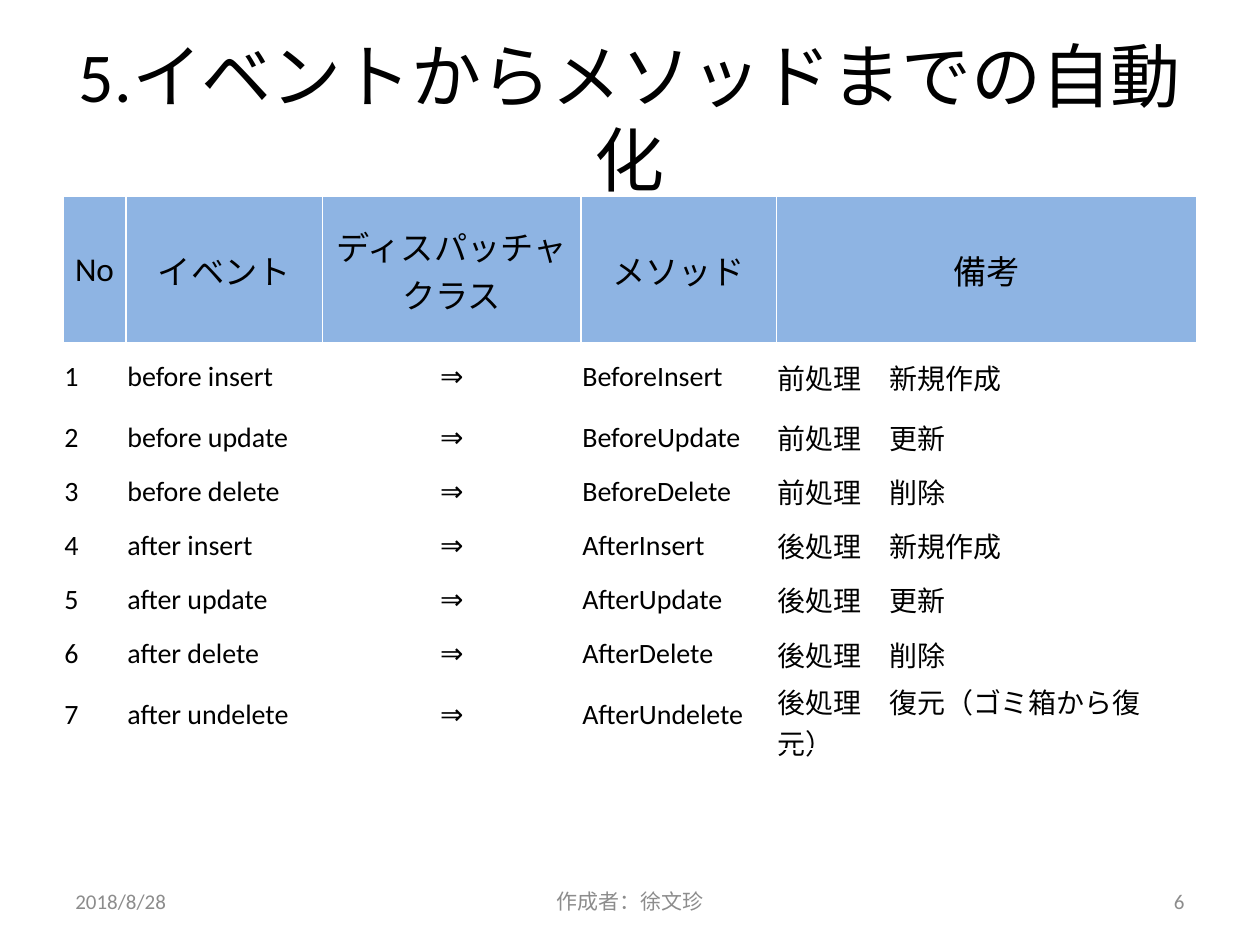
from lxml import etree
from pptx import Presentation
from pptx.dml.color import RGBColor
from pptx.enum.text import MSO_ANCHOR, PP_ALIGN
from pptx.oxml.ns import qn
from pptx.util import Cm, Pt

LEFT, CENTER, RIGHT = PP_ALIGN.LEFT, PP_ALIGN.CENTER, PP_ALIGN.RIGHT
MIDDLE = MSO_ANCHOR.MIDDLE
COLORS = {"text": "000000", "muted": "8C8C8C", "header": "8EB4E3", "white": "FFFFFF"}
COLUMN_WIDTHS = [1.27, 3.96, 5.21, 3.94, 8.48]
ROW_HEIGHTS = [2.95, 1.35] + [1.09] * 6
COLUMN_ALIGNS = [LEFT, LEFT, CENTER, LEFT, LEFT]
COLUMN_FONTS = ["Calibri"] * 4 + ["Arial"]
HEADERS = ["No", "イベント", "ディスパッチャ\vクラス", "メソッド", "備考"]
EVENTS = [
    ("before insert", "前処理 新規作成"),
    ("before update", "前処理 更新"),
    ("before delete", "前処理 削除"),
    ("after insert", "後処理 新規作成"),
    ("after update", "後処理 更新"),
    ("after delete", "後処理 削除"),
    ("after undelete", "後処理 復元(ゴミ箱から復元)"),
]
FULL_WIDTH = str.maketrans({" ": "\u3000", "(": "\uff08", ")": "\uff09"})


def write_text(frame, text, size, color="text", align=LEFT, font="Calibri"):
    """Put one formatted paragraph into a text frame."""
    para = frame.paragraphs[0]
    para.text = text
    para.alignment = align
    for span in para.runs:
        span.font.size = Pt(size)
        span.font.name = font
        span.font.color.rgb = RGBColor.from_string(COLORS[color])


def add_text(page, box, text, size, color="text", align=LEFT):
    """Add a wrapped, vertically centred text box."""
    frame = page.shapes.add_textbox(*[Cm(length) for length in box]).text_frame
    frame.word_wrap = True
    frame.vertical_anchor = MIDDLE
    write_text(frame, text, size, color, align)


def add_borders(cell):
    """Give a cell thin white borders on every side."""
    properties = cell._tc.get_or_add_tcPr()
    for index, side in enumerate(("a:lnL", "a:lnR", "a:lnT", "a:lnB")):
        line = etree.Element(qn(side), w=str(Pt(1)))
        fill = etree.SubElement(line, qn("a:solidFill"))
        etree.SubElement(fill, qn("a:srgbClr"), val=COLORS["white"])
        properties.insert(index, line)


def fill_cell(cell, text, size, fill, align, font):
    """Style one table cell and write its text."""
    cell.margin_left = cell.margin_right = cell.margin_top = Cm(0.03)
    cell.margin_bottom = Cm(0)
    cell.vertical_anchor = MIDDLE
    cell.fill.solid()
    cell.fill.fore_color.rgb = RGBColor.from_string(COLORS[fill])
    add_borders(cell)
    write_text(cell.text_frame, text, size, align=align, font=font)


def add_event_table(page, box):
    """Add the table that maps each event to its method."""
    rows = [HEADERS]
    for number, (event, remark) in enumerate(EVENTS, 1):
        method = event.title().replace(" ", "")
        rows.append([str(number), event, "⇒", method, remark.translate(FULL_WIDTH)])
    lengths = [Cm(length) for length in box]
    table = page.shapes.add_table(len(rows), len(HEADERS), *lengths).table
    for column, width in zip(table.columns, COLUMN_WIDTHS):
        column.width = Cm(width)
    for row, height in zip(table.rows, ROW_HEIGHTS):
        row.height = Cm(height)
    for row_index, texts in enumerate(rows):
        for column_index, text in enumerate(texts):
            cell = table.cell(row_index, column_index)
            if row_index == 0:
                fill_cell(cell, text, 19, "header", CENTER, "Calibri")
            else:
                fill_cell(cell, text, 16, "white",
                          COLUMN_ALIGNS[column_index], COLUMN_FONTS[column_index])


def add_footer(page, box):
    """Add date, author and page number along the bottom."""
    left, top, width, height = box
    side, middle = 5.92, 8.05
    parts = [
        ("2018/8/28", left, side, LEFT),
        ("作成者：徐文珍", left + (width - middle) / 2, middle, CENTER),
        ("6", left + width - side, side, RIGHT),
    ]
    for text, start, span_width, align in parts:
        add_text(page, (start, top, span_width, height), text, 12, "muted", align)


def build_deck():
    """Build and save the one-page deck."""
    deck = Presentation()
    deck.slide_width, deck.slide_height = Cm(25.4), Cm(19.05)
    page = deck.slides.add_slide(deck.slide_layouts[6])
    add_text(page, (1.27, 0.76, 22.86, 3.18), "5.イベントからメソッドまでの自動化", 40, align=CENTER)
    add_event_table(page, (1.27, 3.96, sum(COLUMN_WIDTHS), sum(ROW_HEIGHTS)))
    add_footer(page, (1.27, 17.65, 22.86, 1.02))
    deck.save("out.pptx")


build_deck()
